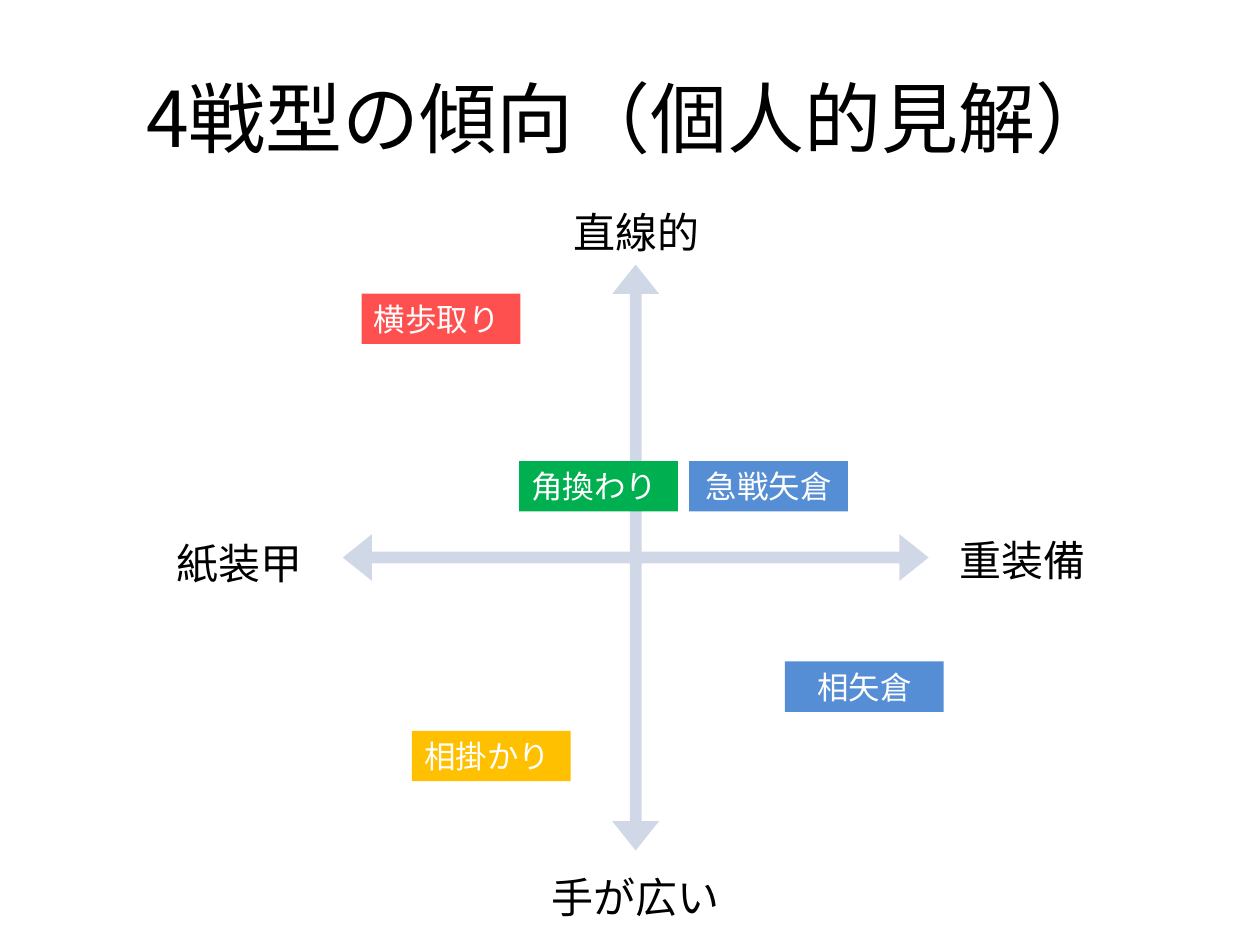
from lxml.etree import SubElement
from pptx import Presentation
from pptx.dml.color import RGBColor
from pptx.enum.shapes import MSO_SHAPE as Shape
from pptx.enum.text import MSO_ANCHOR as Anchor, PP_ALIGN as Align
from pptx.oxml.ns import qn
from pptx.util import Inches, Pt

FONT = "Noto Sans CJK JP"
COLORS = {
    "text": "000000", "tag_text": "FFFFFF", "axes": "D0D8E8",
    "red": "FF5050", "green": "00B050", "yellow": "FFC000", "blue": "558ED5",
}

deck = Presentation()
deck.slide_width, deck.slide_height = Inches(10), Inches(7.5)
slide = deck.slides.add_slide(deck.slide_layouts[6])

# Grid of 100 columns by 75 rows
COL = deck.slide_width / 100
ROW = deck.slide_height / 75


def box(col, row, cols, rows):
    return [round(n) for n in (col * COL, row * ROW, cols * COL, rows * ROW)]


def write(holder, words, size, color, align, anchor=Anchor.TOP):
    frame = holder.text_frame
    frame.word_wrap = True
    frame.vertical_anchor = anchor
    line = frame.paragraphs[0]
    line.alignment = align
    run = line.add_run()
    run.text = words
    run.font.name = FONT
    run.font.size = Pt(size)
    run.font.color.rgb = RGBColor.from_string(COLORS[color])
    # East Asian characters take their font from a:ea
    SubElement(run.font._element, qn("a:ea")).set("typeface", FONT)


# Title
title = slide.shapes.add_textbox(*box(5, 3, 90, 12.5))
write(title, "4戦型の傾向（個人的見解）", 44, "text", Align.CENTER, Anchor.MIDDLE)

# Crossed axes
axes = slide.shapes.add_shape(Shape.QUAD_ARROW, *box(27.2, 21, 46.5, 46.5))
for index, share in enumerate((0.02, 0.04, 0.05)):
    axes.adjustments[index] = share
axes.shadow.inherit = False
axes.fill.solid()
axes.fill.fore_color.rgb = RGBColor.from_string(COLORS["axes"])
axes.line.fill.background()

# Axis ends: words, column, row, columns wide, alignment
AXIS_ENDS = [
    ("重装備", 75.2, 41.9, 12.6, Align.LEFT),
    ("紙装甲", 13, 42.2, 12.6, Align.LEFT),
    ("直線的", 43.4, 15.9, 14.2, Align.CENTER),
    ("手が広い", 41.4, 68.7, 18.1, Align.CENTER),
]
for words, col, row, cols, align in AXIS_ENDS:
    axis_end = slide.shapes.add_textbox(*box(col, row, cols, 5))
    write(axis_end, words, 24, "text", align)

# Openings placed on the axes: words, column, row, colour, alignment
OPENINGS = [
    ("横歩取り", 28.7, 23.3, "red", Align.LEFT),
    ("角換わり", 41.2, 36.6, "green", Align.LEFT),
    ("相掛かり", 32.7, 58, "yellow", Align.LEFT),
    ("相矢倉", 62.3, 52.5, "blue", Align.CENTER),
    ("急戦矢倉", 54.7, 36.6, "blue", Align.CENTER),
]
for words, col, row, color, align in OPENINGS:
    opening = slide.shapes.add_shape(Shape.RECTANGLE, *box(col, row, 12.6, 4))
    opening.shadow.inherit = False
    opening.fill.solid()
    opening.fill.fore_color.rgb = RGBColor.from_string(COLORS[color])
    opening.line.fill.background()
    write(opening, words, 18, "tag_text", align)

deck.save("out.pptx")
